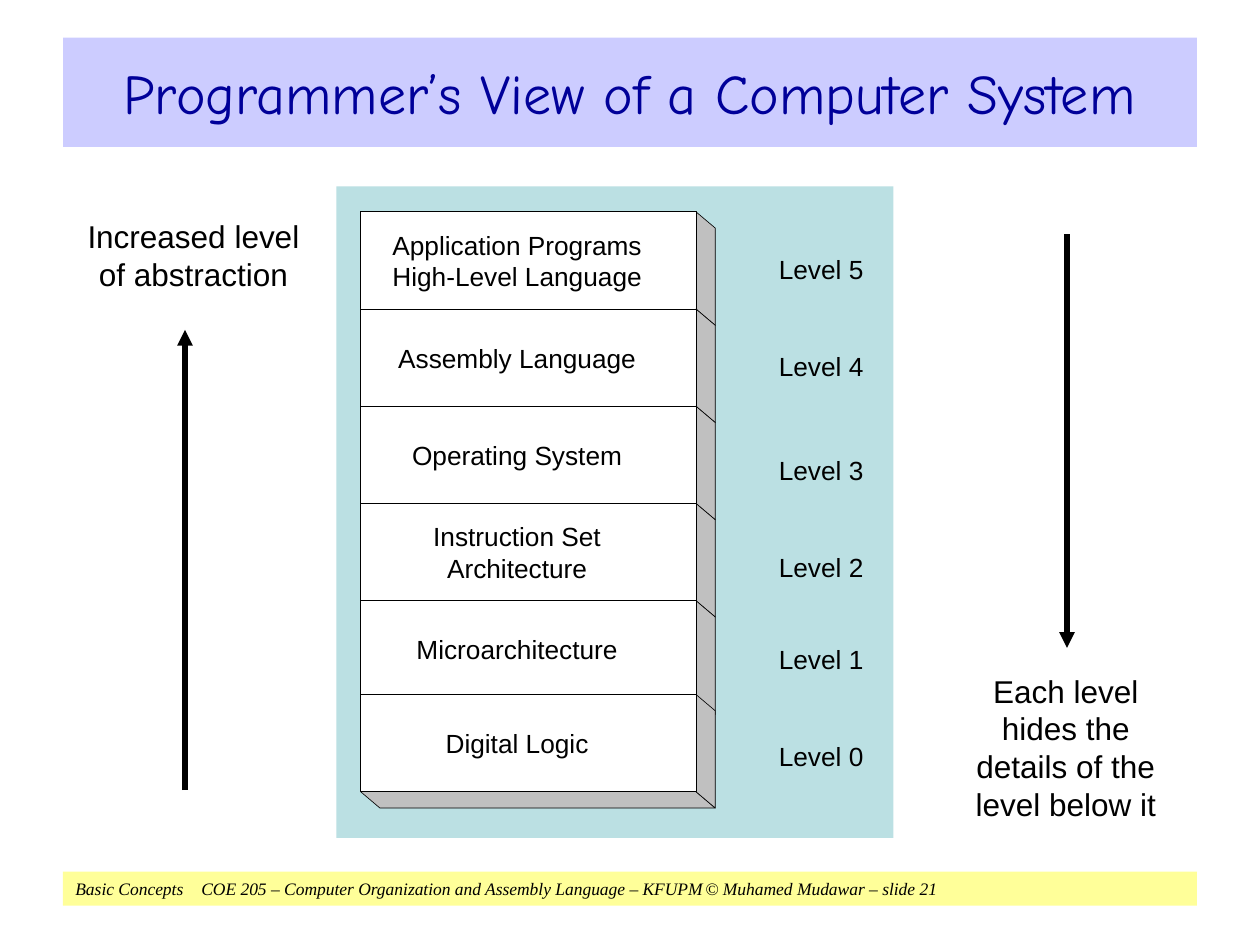
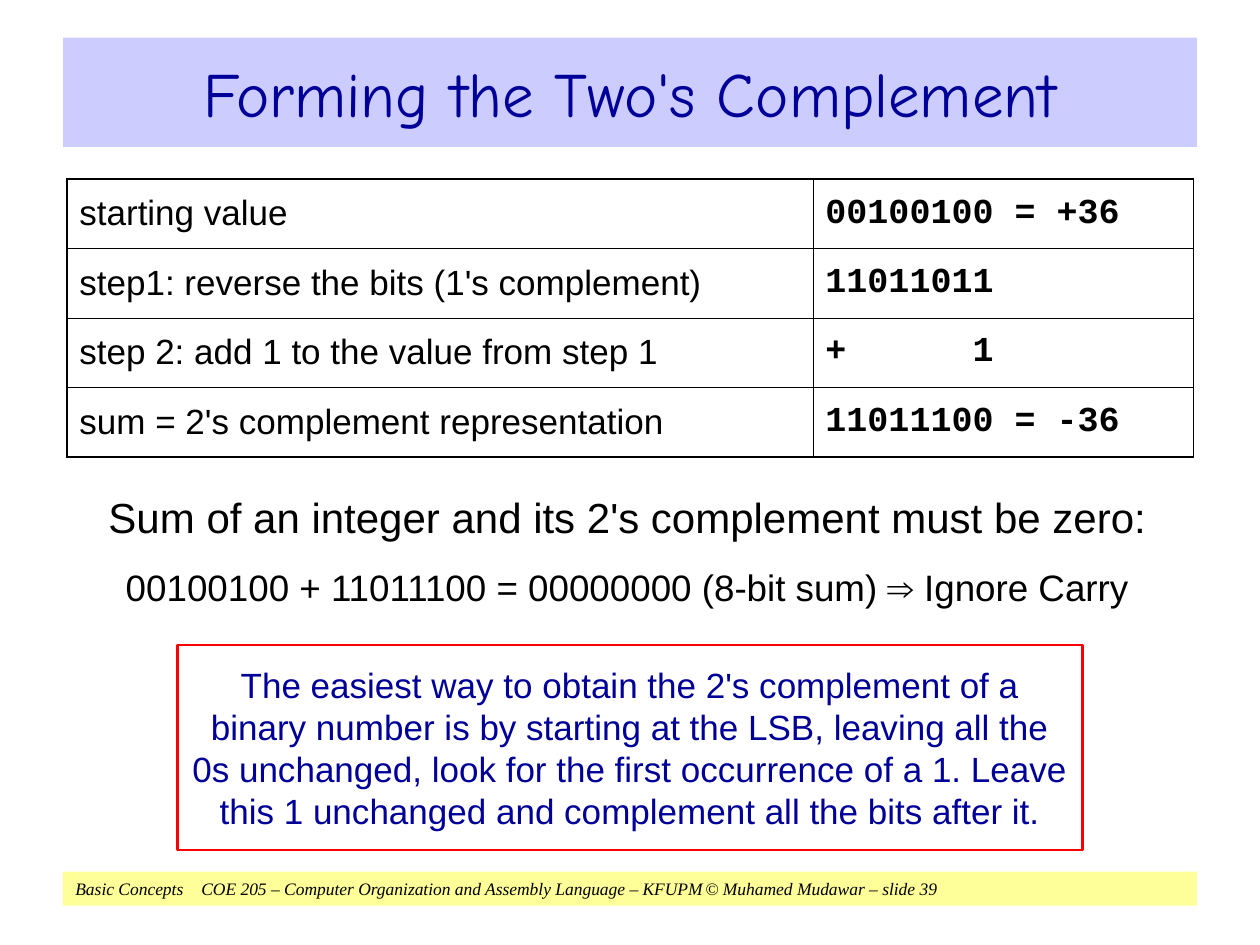
from lxml import etree
from pptx import Presentation
from pptx.dml.color import RGBColor
from pptx.enum.shapes import MSO_CONNECTOR, MSO_SHAPE
from pptx.enum.text import MSO_ANCHOR, MSO_AUTO_SIZE, PP_ALIGN
from pptx.oxml.ns import qn
from pptx.util import Cm, Pt

RECT = MSO_SHAPE.RECTANGLE
LINE = MSO_CONNECTOR.STRAIGHT
TOP, MID = MSO_ANCHOR.TOP, MSO_ANCHOR.MIDDLE
LEFT, CENTER = PP_ALIGN.LEFT, PP_ALIGN.CENTER
FIXED = MSO_AUTO_SIZE.NONE

BLACK = RGBColor(0x00, 0x00, 0x00)
WHITE = RGBColor(0xFF, 0xFF, 0xFF)
NAVY = RGBColor(0x00, 0x00, 0x99)
LILAC = RGBColor(0xCC, 0xCC, 0xFF)
YELLOW = RGBColor(0xFF, 0xFF, 0x99)
TEAL = RGBColor(0xBB, 0xE0, 0xE3)
GRAY = RGBColor(0xC0, 0xC0, 0xC0)
RED = RGBColor(0xFF, 0x00, 0x00)

SANS, SERIF = "Arial", "Times New Roman"
HEAD, MONO = "Comic Neue", "Courier New"
INSET = (0.25, 0.13, 0.25, 0.13)
ROOMY = (0.25, 0.38, 0.25, 0.38)
BARE = (0, 0, 0, 0)

FOOT = ("Basic Concepts\tCOE 205 – Computer Organization and Assembly Language"
        " – KFUPM\t© Muhamed Mudawar – slide {}")
STOPS = (2.54, 12.7)

LAYERS = [
    (["Application Programs", "High-Level Language"], "Level 5", 5.1),
    (["Assembly Language"], "Level 4", 7.06),
    (["Operating System"], "Level 3", 9.15),
    (["Instruction Set", "Architecture"], "Level 2", 11.12),
    (["Microarchitecture"], "Level 1", 12.96),
    (["Digital Logic"], "Level 0", 14.93),
]
STACK = (7.27, 4.27, 6.76, 1.96)
LAST = 14.0
DEPTH = (0.39, 0.33)
NOTES = [
    ("Increased level of abstraction", (1.5, 4.24, 4.8, 1.78)),
    ("Each level hides the details of the level below it", (19.25, 13.41, 4.47, 3.3)),
]
ARROWS = [(3.73, 15.93, 6.65), (21.51, 4.72, 13.06)]

STEPS = [
    ("starting value", "00100100 = +36"),
    ("step1: reverse the bits (1's complement)", "11011011"),
    ("step 2: add 1 to the value from step 1", "+      1"),
    ("sum = 2's complement representation", "11011100 = -36"),
]
COLS = (15.04, 7.67)
ROW = 1.4
SUMS = [
    ("Sum of an integer and its 2's complement must be zero:", 24),
    ("00100100 + 11011100 = 00000000 (8-bit sum) ⇒ Ignore Carry", 21),
]
TIP = ("The easiest way to obtain the 2's complement of a binary number is by "
       "starting at the LSB, leaving all the 0s unchanged, look for the first "
       "occurrence of a 1. Leave this 1 unchanged and complement all the bits after it.")


def cms(nums):
    return [Cm(num) for num in nums]


def write(frame, lines, font=SANS, color=BLACK, align=CENTER, anchor=TOP,
          inset=INSET, gap=0, wrap=True, bold=False, slant=False):
    frame.word_wrap = wrap
    frame.auto_size = FIXED
    frame.vertical_anchor = anchor
    (frame.margin_left, frame.margin_top,
     frame.margin_right, frame.margin_bottom) = cms(inset)
    for i, (text, size) in enumerate(lines):
        para = frame.add_paragraph() if i else frame.paragraphs[0]
        para.alignment = align
        if i:
            para.space_before = Pt(gap)
        run = para.add_run()
        run.text = text
        run.font.name, run.font.size = font, Pt(size)
        run.font.bold, run.font.italic = bold, slant
        run.font.color.rgb = color


def paint(shape, fill, line=None, width=0.37):
    shape.shadow.inherit = False
    if fill is None:
        shape.fill.background()
    else:
        shape.fill.solid()
        shape.fill.fore_color.rgb = fill
    if line is None:
        shape.line.fill.background()
    else:
        shape.line.color.rgb = line
        shape.line.width = Pt(width)


def block(shapes, place, fill, line=None, width=0.37):
    shape = shapes.add_shape(RECT, *cms(place))
    paint(shape, fill, line, width)
    return shape


def label(shapes, place, lines, **style):
    write(shapes.add_textbox(*cms(place)).text_frame, lines, **style)


def face(shapes, points):
    first, *rest = [cms(point) for point in points]
    path = shapes.build_freeform(*first)
    path.add_line_segments(rest, close=True)
    paint(path.convert_to_shape(), GRAY, BLACK)


def arrow(shapes, x, start, end):
    line = shapes.add_connector(LINE, *cms((x, start, x, end)))
    line.line.color.rgb = BLACK
    line.line.width = Pt(3)
    etree.SubElement(line.line._get_or_add_ln(), qn("a:tailEnd"), type="triangle")
    etree.SubElement(line._element.spPr, qn("a:effectLst"))


def start(deck, title, size, page):
    slide = deck.slides.add_slide(deck.slide_layouts[5])
    foot = block(slide.shapes, (1.27, 17.57, 22.86, 0.69), YELLOW)
    props = foot.text_frame.paragraphs[0]._p.get_or_add_pPr()
    tabs = etree.SubElement(props, qn("a:tabLst"))
    for stop in STOPS:
        etree.SubElement(tabs, qn("a:tab"), pos=str(Cm(stop)), algn="l")
    write(foot.text_frame, [(FOOT.format(page), 10)], SERIF, align=LEFT,
          anchor=MID, slant=True)
    head = slide.shapes.title
    head.left, head.top, head.width, head.height = cms((1.27, 0.76, 22.86, 2.2))
    head.fill.solid()
    head.fill.fore_color.rgb = LILAC
    write(head.text_frame, [(title, size)], HEAD, NAVY, anchor=MID)
    return slide.shapes


def layers(shapes):
    group = shapes.add_group_shape().shapes
    block(group, (6.78, 3.76, 11.23, 13.13), TEAL)
    left, top, width, height = STACK
    dx, dy = DEPTH
    right = left + width
    for i, (names, level, at) in enumerate(LAYERS):
        y = min(top + i * height, LAST)
        low = y + height
        face(group, [(right, low), (left, low), (left + dx, low + dy),
                     (right + dx, low + dy)])
        face(group, [(right + dx, low + dy), (right, low), (right, y),
                     (right + dx, y + dy)])
        box = block(group, (left, y, width, height), WHITE, BLACK)
        write(box.text_frame, [(name, 15) for name in names], anchor=MID,
              inset=(0, 0, 0.45, 0))
        label(group, (15.7, at, 1.7, 0.64), [(level, 15)], align=LEFT,
              inset=BARE, wrap=False)


def edge(cell, side, width):
    line = etree.SubElement(cell._tc.get_or_add_tcPr(), qn("a:" + side),
                            w=str(Pt(width)))
    fill = etree.SubElement(line, qn("a:solidFill"))
    etree.SubElement(fill, qn("a:srgbClr"), val=str(BLACK))


def steps(shapes):
    rows, cols = len(STEPS), len(COLS)
    table = shapes.add_table(rows, cols, *cms((1.35, 3.61, sum(COLS), ROW * rows))).table
    table.first_row = table.horz_banding = False
    for col, width in zip(table.columns, COLS):
        col.width = Cm(width)
    for r, texts in enumerate(STEPS):
        table.rows[r].height = Cm(ROW)
        for c, text in enumerate(texts):
            cell = table.cell(r, c)
            outer = {"lnL": c == 0, "lnR": c == cols - 1,
                     "lnT": r == 0, "lnB": r == rows - 1}
            for side, thick in outer.items():
                edge(cell, side, 1.08 if thick else 0.45)
            cell.fill.background()
            cell.vertical_anchor = MID
            (cell.margin_left, cell.margin_top,
             cell.margin_right, cell.margin_bottom) = cms(INSET)
            run = cell.text_frame.paragraphs[0].add_run()
            run.text = text
            run.font.name = MONO if c else SANS
            run.font.size, run.font.bold = Pt(20), c == 1
            run.font.color.rgb = BLACK


def main():
    deck = Presentation()
    deck.slide_width, deck.slide_height = Cm(25.4), Cm(19.05)

    shapes = start(deck, "Programmer’s View of a Computer System", 32, 21)
    layers(shapes)
    for place in ARROWS:
        arrow(shapes, *place)
    for text, place in NOTES:
        label(shapes, place, [(text, 18)])

    shapes = start(deck, "Forming the Two's Complement", 36, 39)
    label(shapes, (1.7, 9.53, 21.89, 3.12), SUMS, inset=ROOMY, gap=13.1)
    tip = block(shapes, (3.58, 13, 18.24, 4.14), None, RED, 1.5)
    write(tip.text_frame, [(TIP, 20)], color=NAVY, anchor=MID, inset=ROOMY)
    steps(shapes)

    deck.save("out.pptx")


if __name__ == "__main__":
    main()
